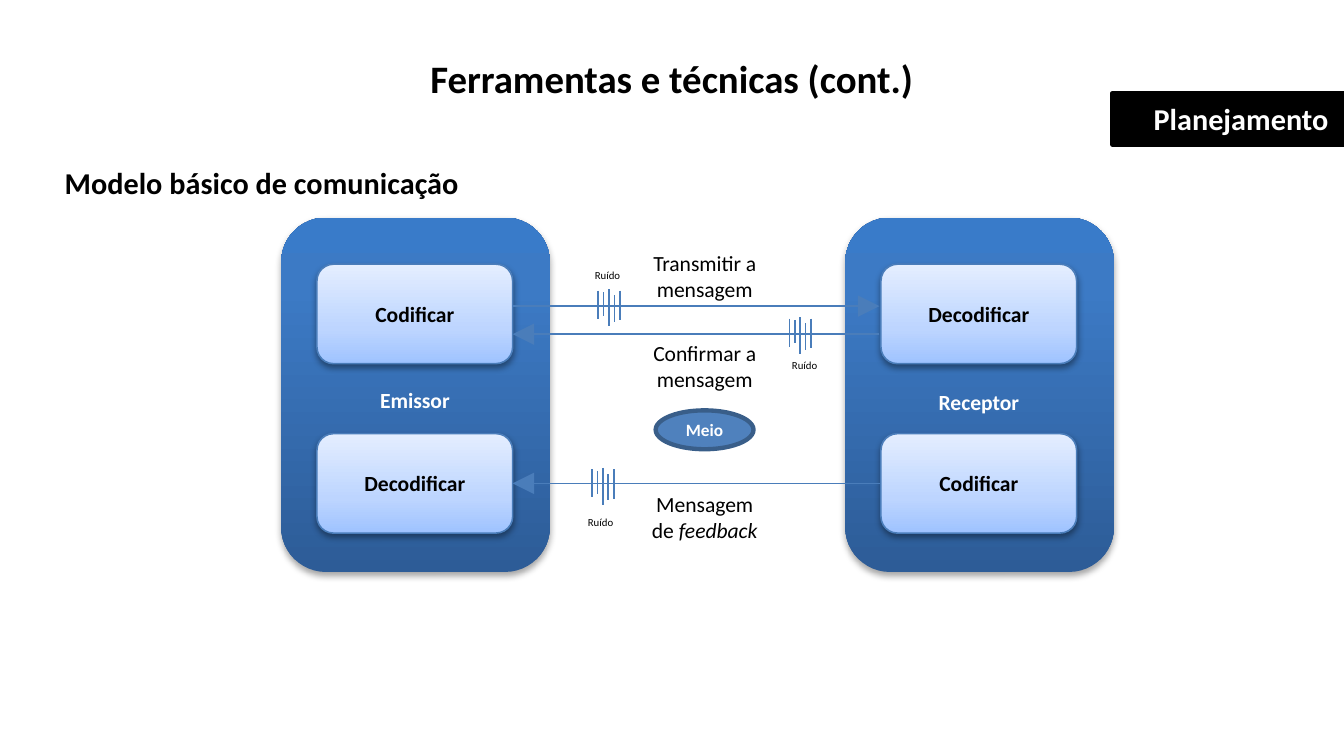
"""Build the slide on the basic communication model."""
from lxml import etree
from pptx import Presentation
from pptx.dml.color import RGBColor
from pptx.enum.shapes import MSO_CONNECTOR, MSO_SHAPE
from pptx.enum.text import MSO_ANCHOR, MSO_AUTO_SIZE, PP_ALIGN
from pptx.oxml.ns import qn
from pptx.util import Inches, Pt

RECTANGLE, ROUNDED, OVAL = MSO_SHAPE.RECTANGLE, MSO_SHAPE.ROUNDED_RECTANGLE, MSO_SHAPE.OVAL
STRAIGHT = MSO_CONNECTOR.STRAIGHT
CENTER, RIGHT = PP_ALIGN.CENTER, PP_ALIGN.RIGHT
TOP, MIDDLE = MSO_ANCHOR.TOP, MSO_ANCHOR.MIDDLE
NO_AUTOFIT = MSO_AUTO_SIZE.NONE

FONT = "Calibri"
COLORS = {"black": "000000", "white": "FFFFFF", "line": "4A7DBA",
          "medium": "4F81BD", "medium_edge": "395E89"}
PANEL_GRADIENT = [(0, "2D5C97"), (80, "3C7AC5"), (100, "397BC9")]
STEP_GRADIENT = [(0, "9FC3FF"), (35, "BDD5FF"), (100, "E4EEFF")]

TITLE = "Ferramentas e técnicas (cont.)"
PHASE = "Planejamento"
HEADING = "Modelo básico de comunicação"
MEDIUM = "Meio"
NOISE = "Ruído"
PARTIES = [
    {"name": "Emissor", "left": 1.81, "name_top": 2.44, "steps": ["Codificar", "Decodificar"]},
    {"name": "Receptor", "left": 5.44, "name_top": 2.45, "steps": ["Decodificar", "Codificar"]},
]
MESSAGES = [
    {"top": 1.56, "text": "Transmitir a mensagem"},
    {"top": 2.14, "text": "Confirmar a mensagem"},
    {"top": 3.11, "text": "Mensagem de ", "italic_tail": "feedback"},
]
ARROWS = [(5.67, 3.3, 3.11), (3.3, 5.66, 1.97), (5.66, 3.3, 2.15)]
NOISES = [
    {"bars": (3.81, 3.02), "label": (3.64, 3.27, 0.45, 0.19)},
    {"bars": (5.08, 2.05), "label": (4.96, 2.26, 0.44, 0.19)},
    {"bars": (3.85, 1.87), "label": (3.7, 1.68, 0.42, 0.19)},
]
BAR_ENDS = [(0, 0.18), (0.01, 0.16), (-0.01, 0.23), (0.03, 0.2), (0, 0.19)]
BAR_SPAN = 0.14
PANEL_TOP, PANEL_WIDTH, PANEL_HEIGHT = 1.4, 1.73, 2.28
STEP_INSET, STEP_TOP, STEP_PITCH = 0.23, 1.7, 1.09
STEP_WIDTH, STEP_HEIGHT = 1.26, 0.64
NAME_INSET, NAME_WIDTH = 0.3, 1.12


def rgb(name):
    return RGBColor.from_string(COLORS[name])


def write_text(shape, text, size=10, color="black", bold=False, align=CENTER,
               anchor=TOP, italic_tail=""):
    frame = shape.text_frame
    frame.word_wrap = True
    frame.auto_size = NO_AUTOFIT
    frame.vertical_anchor = anchor
    para = frame.paragraphs[0]
    para.alignment = align
    for part, italic in ((text, False), (italic_tail, True)):
        if part:
            span = para.add_run()
            span.text = part
            font = span.font
            font.name, font.size, font.bold, font.italic = FONT, Pt(size), bold, italic
            font.color.rgb = rgb(color)


def add_label(page, text, area, **style):
    box = page.shapes.add_textbox(*map(Inches, area))
    write_text(box, text, **style)


def add_solid(page, kind, area, fill, edge):
    shape = page.shapes.add_shape(kind, *map(Inches, area))
    shape.shadow.inherit = False
    shape.fill.solid()
    shape.fill.fore_color.rgb = rgb(fill)
    shape.line.color.rgb = rgb(edge)
    shape.line.width = Pt(2)
    return shape


def add_color(parent, value):
    return etree.SubElement(parent, qn("a:srgbClr"), val=value)


def add_raised(page, area, gradient, shadow_alpha, shadow_distance):
    shape = page.shapes.add_shape(ROUNDED, *map(Inches, area))
    shape.fill.gradient()
    shape.fill.gradient_angle = 90
    stops = shape._element.spPr.find(".//" + qn("a:gsLst"))
    for stop in list(stops):
        stops.remove(stop)
    for position, value in gradient:
        add_color(etree.SubElement(stops, qn("a:gs"), pos=str(position * 1000)), value)
    shape.line.fill.background()
    shape.shadow.inherit = False
    effects = shape._element.spPr.find(qn("a:effectLst"))
    shadow = etree.SubElement(effects, qn("a:outerShdw"), blurRad=str(Pt(3.1)),
                              dist=str(Pt(shadow_distance)), dir="5400000", rotWithShape="0")
    etree.SubElement(add_color(shadow, COLORS["black"]), qn("a:alpha"),
                     val=str(shadow_alpha * 1000))
    return shape


def add_line(page, start, end, arrow=False):
    line = page.shapes.add_connector(STRAIGHT, *map(Inches, start + end))
    line.line.color.rgb = rgb("line")
    line.line.width = Pt(0.75)
    properties = line._element.spPr
    if arrow:
        etree.SubElement(properties.find(qn("a:ln")), qn("a:tailEnd"),
                         type="triangle", w="lg", len="lg")
    etree.SubElement(properties, qn("a:effectLst"))


def add_party(page, party):
    left = party["left"]
    add_raised(page, (left, PANEL_TOP, PANEL_WIDTH, PANEL_HEIGHT), PANEL_GRADIENT, 35, 1.8)
    for index, step in enumerate(party["steps"]):
        area = (left + STEP_INSET, STEP_TOP + index * STEP_PITCH, STEP_WIDTH, STEP_HEIGHT)
        shape = add_raised(page, area, STEP_GRADIENT, 38, 1.6)
        shape.line.color.rgb = rgb("line")
        shape.line.width = Pt(0.75)
        write_text(shape, step, bold=True, anchor=MIDDLE)
    add_label(page, party["name"], (left + NAME_INSET, party["name_top"], NAME_WIDTH, 0.25),
              color="white", bold=True)


def add_noise(page, noise):
    left, top = noise["bars"]
    gap = BAR_SPAN / (len(BAR_ENDS) - 1)
    for index, (upper, lower) in enumerate(BAR_ENDS):
        x = left + index * gap
        add_line(page, (x, top + upper), (x, top + lower))
    add_label(page, NOISE, noise["label"], size=5)


def main():
    deck = Presentation()
    deck.slide_width, deck.slide_height = Inches(8.65), Inches(4.69)
    page = deck.slides.add_slide(deck.slide_layouts[5])
    title = page.shapes.title
    title.left, title.top, title.width, title.height = map(Inches, (0, 0.3, 8.65, 0.4))
    write_text(title, TITLE, size=18, bold=True)
    phase = add_solid(page, RECTANGLE, (7.16, 0.6, 1.49, 0.33), "black", "black")
    write_text(phase, PHASE, size=14, color="white", bold=True, align=RIGHT, anchor=MIDDLE)
    add_label(page, HEADING, (0.31, 1.01, 2.75, 0.34), size=14, bold=True)
    for party in PARTIES:
        add_party(page, party)
    for start, end, y in ARROWS:
        add_line(page, (start, y), (end, y), arrow=True)
    for noise in NOISES:
        add_noise(page, noise)
    medium = add_solid(page, OVAL, (4.22, 2.64, 0.63, 0.25), "medium", "medium_edge")
    write_text(medium, MEDIUM, size=8, color="white", bold=True, anchor=MIDDLE)
    for message in MESSAGES:
        add_label(page, message["text"], (4.04, message["top"], 0.99, 0.41),
                  italic_tail=message.get("italic_tail", ""))
    deck.save("out.pptx")


if __name__ == "__main__":
    main()
